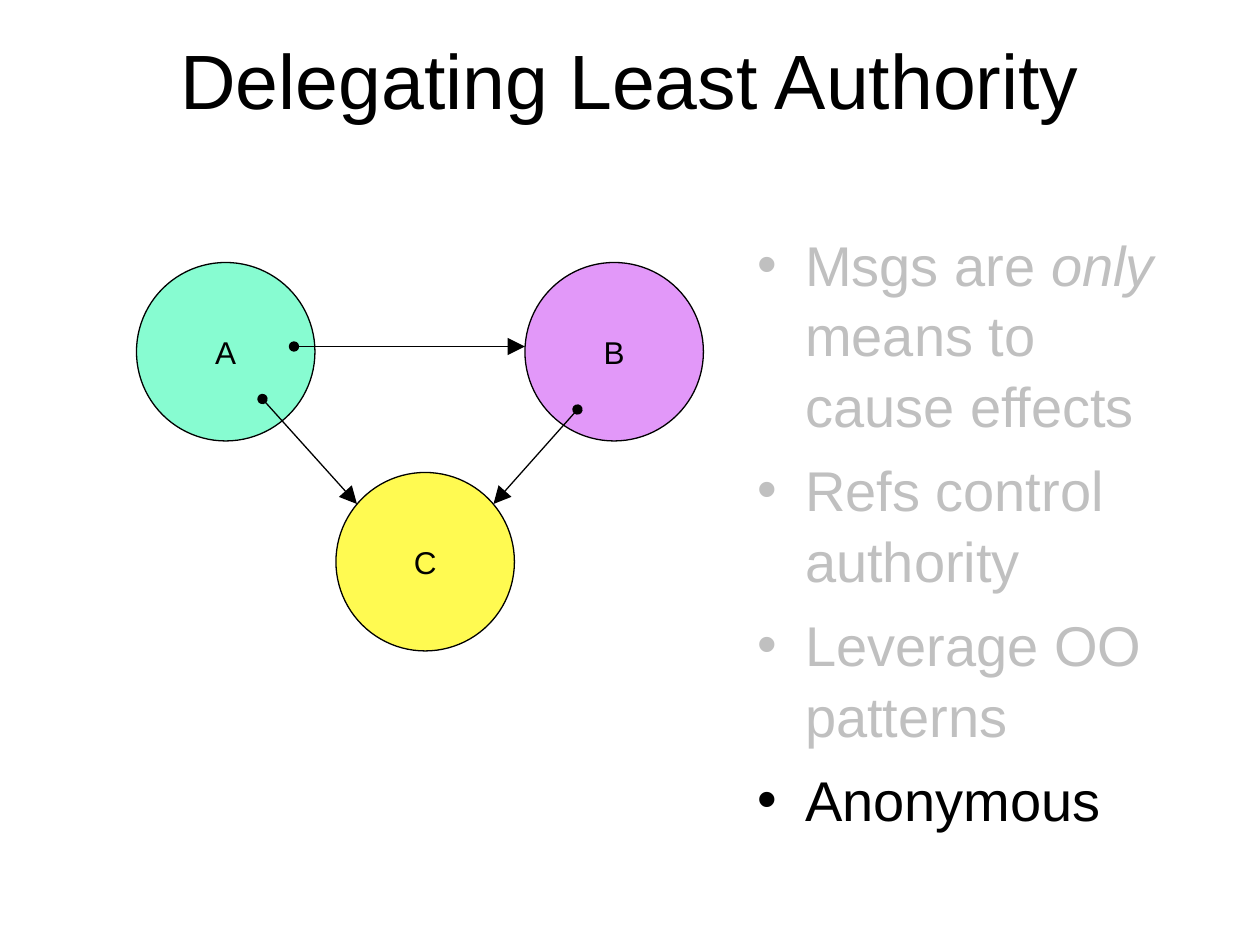
from dataclasses import dataclass
from typing import NamedTuple

import lxml.etree
import pptx
import pptx.dml.color
import pptx.enum.shapes
import pptx.enum.text
import pptx.oxml.ns
import pptx.util

Pt = pptx.util.Pt
Color = pptx.dml.color.RGBColor
qn = pptx.oxml.ns.qn


@dataclass(frozen=True)
class Theme:
    font: str = "Arial"
    ink: str = "000000"
    muted: str = "C0C0C0"
    mint: str = "87FCD1"
    violet: str = "E298F9"
    yellow: str = "FFFA51"
    title_size: float = 44
    bullet_size: float = 32
    label_size: float = 18
    line_width: float = 0.75


class Party(NamedTuple):
    name: str
    left: float
    top: float
    fill: str


class Reference(NamedTuple):
    start: tuple[float, float]
    end: tuple[float, float]


class Point(NamedTuple):
    """A bullet; its runs are pairs of text and italic."""
    runs: tuple[tuple[str, bool], ...]
    color: str


THEME = Theme()
DIAMETER = 102
INDENT = 27
PARTIES = (
    Party("A", 78, 150, THEME.mint),
    Party("B", 300, 150, THEME.violet),
    Party("C", 192, 270, THEME.yellow),
)
REFERENCES = (
    Reference((168, 198), (300, 198)),
    Reference((150, 228), (204, 288)),
    Reference((330, 234), (282, 288)),
)
POINTS = (
    Point((("Msgs are ", False), ("only", True),
           (" means to cause effects", False)), THEME.muted),
    Point((("Refs control authority", False),), THEME.muted),
    Point((("Leverage OO patterns", False),), THEME.muted),
    Point((("Anonymous", False),), THEME.ink),
)


def set_font(paragraph, size: float, color: str) -> None:
    paragraph.font.name = THEME.font
    paragraph.font.size = Pt(size)
    paragraph.font.color.rgb = Color.from_string(color)


def set_line(line) -> None:
    line.color.rgb = Color.from_string(THEME.ink)
    line.width = Pt(THEME.line_width)


def add_title(slide, text: str) -> None:
    title = slide.shapes.title
    title.left, title.top, title.width, title.height = map(Pt, (36, 0, 648, 90))
    title.text_frame.text = text
    title.text_frame.vertical_anchor = pptx.enum.text.MSO_ANCHOR.MIDDLE
    paragraph = title.text_frame.paragraphs[0]
    paragraph.alignment = pptx.enum.text.PP_ALIGN.CENTER
    set_font(paragraph, THEME.title_size, THEME.ink)


def add_party(slide, party: Party) -> None:
    circle = slide.shapes.add_shape(
        pptx.enum.shapes.MSO_SHAPE.OVAL,
        Pt(party.left), Pt(party.top), Pt(DIAMETER), Pt(DIAMETER))
    circle.shadow.inherit = False
    circle.fill.solid()
    circle.fill.fore_color.rgb = Color.from_string(party.fill)
    set_line(circle.line)
    label = circle.text_frame
    label.text = party.name
    label.word_wrap = False
    label.vertical_anchor = pptx.enum.text.MSO_ANCHOR.MIDDLE
    label.paragraphs[0].alignment = pptx.enum.text.PP_ALIGN.CENTER
    set_font(label.paragraphs[0], THEME.label_size, THEME.ink)


def add_reference(slide, reference: Reference) -> None:
    """Draw an arrow from a dot inside its holder to the party it points at."""
    arrow = slide.shapes.add_connector(
        pptx.enum.shapes.MSO_CONNECTOR.STRAIGHT,
        *map(Pt, reference.start + reference.end))
    set_line(arrow.line)
    outline = arrow.line._get_or_add_ln()
    lxml.etree.SubElement(outline, qn("a:headEnd"), type="oval")
    lxml.etree.SubElement(outline, qn("a:tailEnd"), type="triangle",
                          w="lg", len="lg")
    lxml.etree.SubElement(arrow._element.spPr, qn("a:effectLst"))


def set_bullet(paragraph, color: str) -> None:
    properties = paragraph._p.get_or_add_pPr()
    properties.set("marL", str(Pt(INDENT)))
    properties.set("indent", str(-Pt(INDENT)))
    bullet_color = lxml.etree.SubElement(properties, qn("a:buClr"))
    lxml.etree.SubElement(bullet_color, qn("a:srgbClr"), val=color)
    lxml.etree.SubElement(properties, qn("a:buFont"), typeface=THEME.font)
    lxml.etree.SubElement(properties, qn("a:buChar"), char="•")


def add_points(slide, points: tuple[Point, ...]) -> None:
    frame = slide.shapes.add_textbox(
        Pt(426), Pt(126), Pt(258), Pt(356)).text_frame
    frame.word_wrap = True
    for index, point in enumerate(points):
        paragraph = frame.add_paragraph() if index else frame.paragraphs[0]
        set_bullet(paragraph, point.color)
        set_font(paragraph, THEME.bullet_size, point.color)
        paragraph.line_spacing = 1.05
        paragraph.space_before = Pt(8 if index else 0)
        for text, italic in point.runs:
            run = paragraph.add_run()
            run.text = text
            if italic:
                run.font.italic = True


def main() -> None:
    deck = pptx.Presentation()
    deck.slide_width, deck.slide_height = Pt(720), Pt(540)
    slide = deck.slides.add_slide(deck.slide_layouts.get_by_name("Title Only"))
    add_title(slide, "Delegating Least Authority")
    for party in PARTIES:
        add_party(slide, party)
    add_points(slide, POINTS)
    for reference in REFERENCES:
        add_reference(slide, reference)
    deck.save("out.pptx")


if __name__ == "__main__":
    main()
